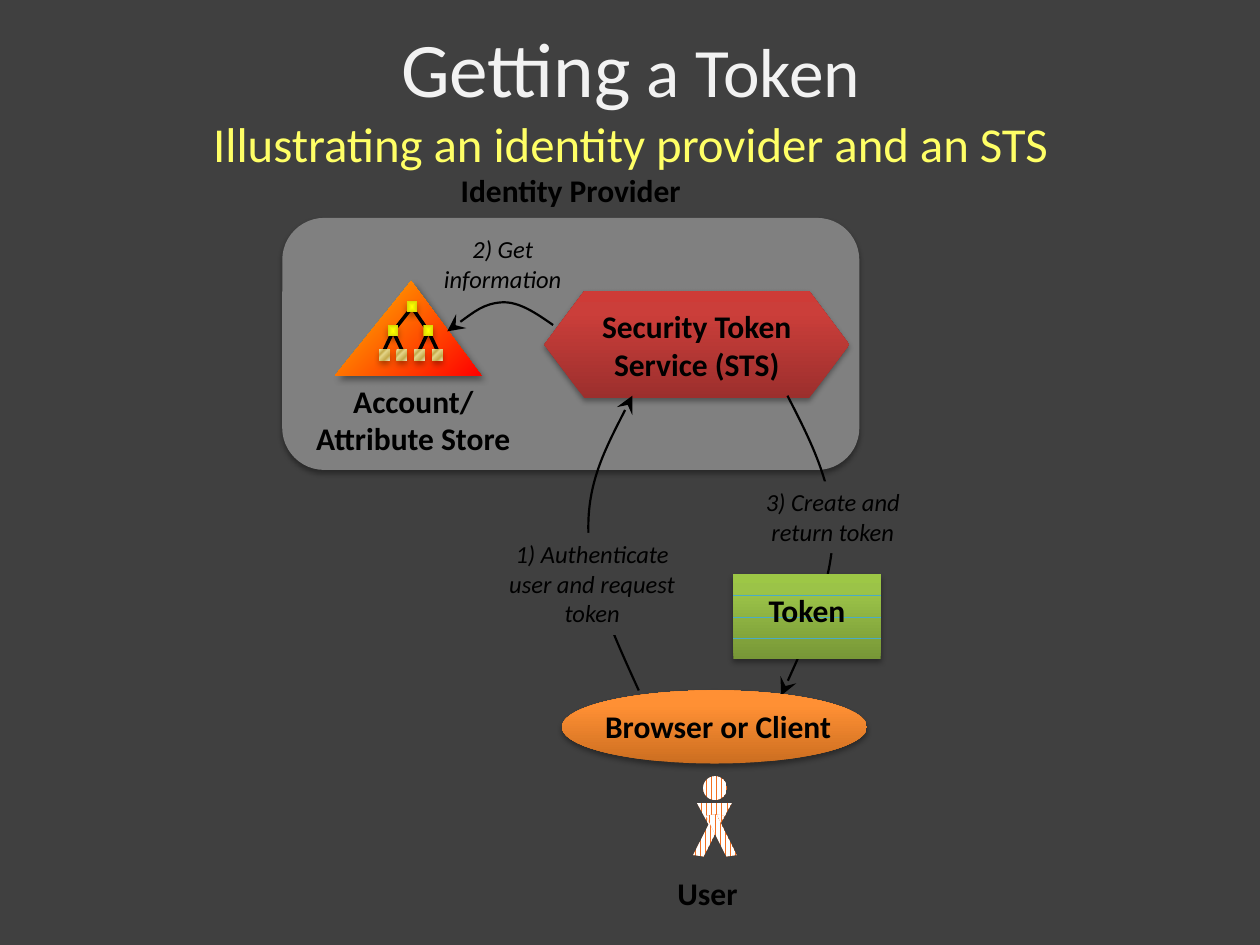
from lxml import etree
from pptx import Presentation
from pptx.dml.color import RGBColor
from pptx.enum.dml import MSO_PATTERN
from pptx.enum.shapes import MSO_CONNECTOR, MSO_SHAPE
from pptx.enum.text import MSO_ANCHOR, MSO_AUTO_SIZE, PP_ALIGN
from pptx.oxml.ns import qn
from pptx.util import Inches, Pt

RECT = MSO_SHAPE.RECTANGLE
ROUNDED = MSO_SHAPE.ROUNDED_RECTANGLE
TRIANGLE = MSO_SHAPE.ISOSCELES_TRIANGLE
HEXAGON = MSO_SHAPE.HEXAGON
OVAL = MSO_SHAPE.OVAL
PARALLELOGRAM = MSO_SHAPE.PARALLELOGRAM
STRAIGHT = MSO_CONNECTOR.STRAIGHT
STRIPES = MSO_PATTERN.DARK_VERTICAL
CENTER = PP_ALIGN.CENTER
MIDDLE, TOP = MSO_ANCHOR.MIDDLE, MSO_ANCHOR.TOP
GROW, FIXED = MSO_AUTO_SIZE.SHAPE_TO_FIT_TEXT, MSO_AUTO_SIZE.NONE

FONT = "Calibri"
COLORS = {
    "background": "404040", "provider": "808080", "ink": "000000",
    "title": "F2F2F2", "subtitle": "FFFF66", "token_line": "4BACC6",
    "stripe": "FFFFFF", "person": "F37021",
}
GRADIENTS = {
    "store": ([(0, "FFC000"), (100, "FF0000")], 45),
    "node": ([(0, "FFFF00"), (100, "DADA00")], None),
    "leaf": ([(0, "E6DCAC"), (12, "E6D78A"), (30, "C7AC4C"),
              (45, "E6D78A"), (77, "C7AC4C"), (100, "E6DCAC")], 45),
    "sts": ([(0, "9C2F2D"), (80, "CB3E3A"), (100, "CE3B37")], 270),
    "token": ([(0, "779737"), (80, "9BC348"), (100, "9DC746")], 270),
    "client": ([(0, "CC6E20"), (80, "FF9034"), (100, "FF9136")], 270),
}
SOFT_SHADOW = (35, 3.1, 1.8, 90)
STORE_SHADOW = (40, 4, 3, 45)
NODE_SHADOW = (32, 3.5, 2.2, 90)


def rgb(name):
    return RGBColor.from_string(COLORS[name])


def add_child(parent, tag, **attributes):
    values = {key: str(value) for key, value in attributes.items()}
    return etree.SubElement(parent, qn(tag), values)


def fill_gradient(shape, name):
    stops, angle = GRADIENTS[name]
    shape.fill.gradient()
    gradient = shape.element.spPr.find(qn("a:gradFill"))
    for child in list(gradient):
        gradient.remove(child)
    stop_list = add_child(gradient, "a:gsLst")
    for position, color in stops:
        stop = add_child(stop_list, "a:gs", pos=position * 1000)
        add_child(stop, "a:srgbClr", val=color)
    if angle is None:
        center = add_child(gradient, "a:path", path="shape")
        add_child(center, "a:fillToRect", l=50000, t=50000, r=50000, b=50000)
    else:
        add_child(gradient, "a:lin", ang=angle * 60000, scaled=0)


def add_shadow(shape, alpha, blur, distance, angle):
    effects = shape.element.spPr.find(qn("a:effectLst"))
    outer = add_child(effects, "a:outerShdw", blurRad=Pt(blur), dist=Pt(distance),
                      dir=angle * 60000, rotWithShape=0)
    color = add_child(outer, "a:srgbClr", val=COLORS["ink"])
    add_child(color, "a:alpha", val=alpha * 1000)


def add_block(shapes, kind, box, fill, shadow=None, adjust=(), rotation=0):
    block = shapes.add_shape(kind, *map(Inches, box))
    block.shadow.inherit = False
    block.line.fill.background()
    block.rotation = rotation
    for index, value in enumerate(adjust):
        block.adjustments[index] = value
    if fill in GRADIENTS:
        fill_gradient(block, fill)
    elif fill == "person":
        block.fill.patterned()
        block.fill.pattern = STRIPES
        block.fill.fore_color.rgb = rgb("stripe")
        block.fill.back_color.rgb = rgb("person")
    else:
        block.fill.solid()
        block.fill.fore_color.rgb = rgb(fill)
    if shadow:
        add_shadow(block, *shadow)
    return block


def write_text(shape, *runs, size=18, color="ink", bold=False, italic=False,
               anchor=TOP, fit=GROW):
    frame = shape.text_frame
    frame.word_wrap = True
    frame.auto_size = fit
    frame.vertical_anchor = anchor
    paragraph = frame.paragraphs[0]
    paragraph.alignment = CENTER
    for text, changes in runs:
        if changes.get("new_line"):
            paragraph.add_line_break()
        run = paragraph.add_run()
        run.text = text
        run.font.name = FONT
        run.font.size = Pt(changes.get("size", size))
        run.font.bold, run.font.italic = bold, italic
        run.font.color.rgb = rgb(changes.get("color", color))


def add_label(shapes, text, box, **style):
    write_text(shapes.add_textbox(*map(Inches, box)), (text, {}), **style)


def add_step(shapes, text, box):
    step = add_block(shapes, RECT, box, "background")
    write_text(step, (text, {}), size=14, italic=True)


def add_line(shapes, start, end, color, width):
    line = shapes.add_connector(STRAIGHT, *map(Inches, start + end))
    line.line.color.rgb = rgb(color)
    line.line.width = Pt(width)
    add_child(line.element.spPr, "a:effectLst")


def add_curve(shapes, points, arrow_end):
    start, *rest = [tuple(map(Inches, point)) for point in points]
    builder = shapes.build_freeform(*start)
    builder.add_line_segments(rest, close=False)
    curve = builder.convert_to_shape()
    segments = list(curve.element.iter(qn("a:lnTo")))
    for first in range(0, len(segments), 3):
        bezier = add_child(segments[first].getparent(), "a:cubicBezTo")
        for segment in segments[first:first + 3]:
            bezier.append(segment[0])
            segment.getparent().remove(segment)
    curve.shadow.inherit = False
    curve.fill.background()
    curve.line.color.rgb = rgb("ink")
    curve.line.width = Pt(1.25)
    add_child(curve.line._get_or_add_ln(), arrow_end, type="stealth", w="lg", len="lg")


def add_directory_tree(shapes):
    root, child_y, leaf_y = (3.27, 2.44), 2.63, 2.82
    children = (3.12, 3.4)
    for x in children:
        add_line(shapes, root, (x, child_y), "ink", 2)
        for side in (-1, 1):
            add_line(shapes, (x, child_y), (x + side * 0.09, leaf_y), "ink", 2)
    nodes = [(*root, "node")]
    for x in children:
        nodes.append((x, child_y, "node"))
        nodes += [(x + side * 0.07, leaf_y, "leaf") for side in (-1, 1)]
    for x, y, fill in nodes:
        add_block(shapes, RECT, (x - 0.04, y - 0.05, 0.08, 0.09), fill, NODE_SHADOW)


def add_token(shapes):
    left, top, width, height = 5.82, 4.56, 1.17, 0.67
    add_block(shapes, RECT, (left, top, width, height), "token", SOFT_SHADOW)
    for quarter in (1, 2, 3):
        y = top + quarter * height / 4
        add_line(shapes, (left, y), (left + width, y), "token_line", 0.25)
    add_label(shapes, "Token", (left, 4.64, width, 0.4), bold=True)


def add_person(shapes):
    add_block(shapes, OVAL, (5.58, 6.16, 0.19, 0.19), "person")
    add_block(shapes, TRIANGLE, (5.53, 6.37, 0.28, 0.26), "person", rotation=180)
    left_leg, _ = [add_block(shapes, PARALLELOGRAM, (x, 6.59, 0.39, 0.08), "person",
                             adjust=(0.335,), rotation=angle)
                   for x, angle in ((5.43, 296.7), (5.53, 63.3))]
    left_leg.element.spPr.xfrm.set("flipH", "1")


def main():
    deck = Presentation()
    deck.slide_width, deck.slide_height = Inches(10), Inches(7.5)
    slide = deck.slides.add_slide(deck.slide_layouts[6])
    slide.background.fill.solid()
    slide.background.fill.fore_color.rgb = rgb("background")
    shapes = slide.shapes

    add_block(shapes, ROUNDED, (2.24, 1.73, 4.58, 2), "provider", SOFT_SHADOW)
    add_label(shapes, "Identity Provider", (3.24, 1.31, 2.58, 0.4), bold=True)
    add_block(shapes, TRIANGLE, (2.66, 2.23, 1.16, 0.75), "store", STORE_SHADOW, (0.521,))
    add_directory_tree(shapes.add_group_shape().shapes)
    add_label(shapes, "Account/ Attribute Store", (2.24, 2.98, 2.08, 0.71), bold=True)
    add_block(shapes, HEXAGON, (4.32, 2.31, 2.42, 0.85), "sts", SOFT_SHADOW, (0.375, 1.155))
    add_label(shapes, "Security Token Service (STS)", (4.49, 2.39, 2.08, 0.71), bold=True)

    lookup = shapes.add_group_shape().shapes
    add_label(lookup, "2) Get information", (3.24, 1.81, 1.5, 0.57), size=14, italic=True)
    add_curve(lookup, [(3.55, 2.63), (3.7, 2.52), (3.84, 2.41), (3.98, 2.4),
                       (4.12, 2.39), (4.26, 2.49), (4.39, 2.58)], "a:headEnd")

    request = shapes.add_group_shape().shapes
    add_curve(request, [(5.07, 5.48), (4.87, 5.04), (4.67, 4.61), (4.67, 4.22),
                        (4.66, 3.83), (4.84, 3.49), (5.02, 3.14)], "a:tailEnd")
    add_step(request, "1) Authenticate user and request token", (3.91, 4.23, 1.58, 0.81))

    response = shapes.add_group_shape().shapes
    add_curve(response, [(6.2, 5.52), (6.4, 5.08), (6.6, 4.63), (6.61, 4.24),
                         (6.61, 3.84), (6.43, 3.49), (6.25, 3.14)], "a:headEnd")
    add_step(response, "3) Create and return token", (5.82, 3.82, 1.58, 0.57))
    add_token(response)

    add_block(shapes, OVAL, (4.46, 5.48, 2.42, 0.58), "client", SOFT_SHADOW)
    add_label(shapes, "Browser or Client", (4.66, 5.56, 2.08, 0.4), bold=True)
    add_label(shapes, "User", (5.24, 6.89, 0.75, 0.4), bold=True)
    title = shapes.add_textbox(*map(Inches, (0.42, 0.25, 9.17, 1.03)))
    write_text(title, ("Getting", {"size": 44.1}), (" a Token", {"size": 39.6}),
               ("Illustrating an identity provider and an STS",
                {"size": 27.9, "color": "subtitle", "new_line": True}),
               color="title", anchor=MIDDLE, fit=FIXED)
    add_person(shapes.add_group_shape().shapes)
    deck.save("out.pptx")


if __name__ == "__main__":
    main()
